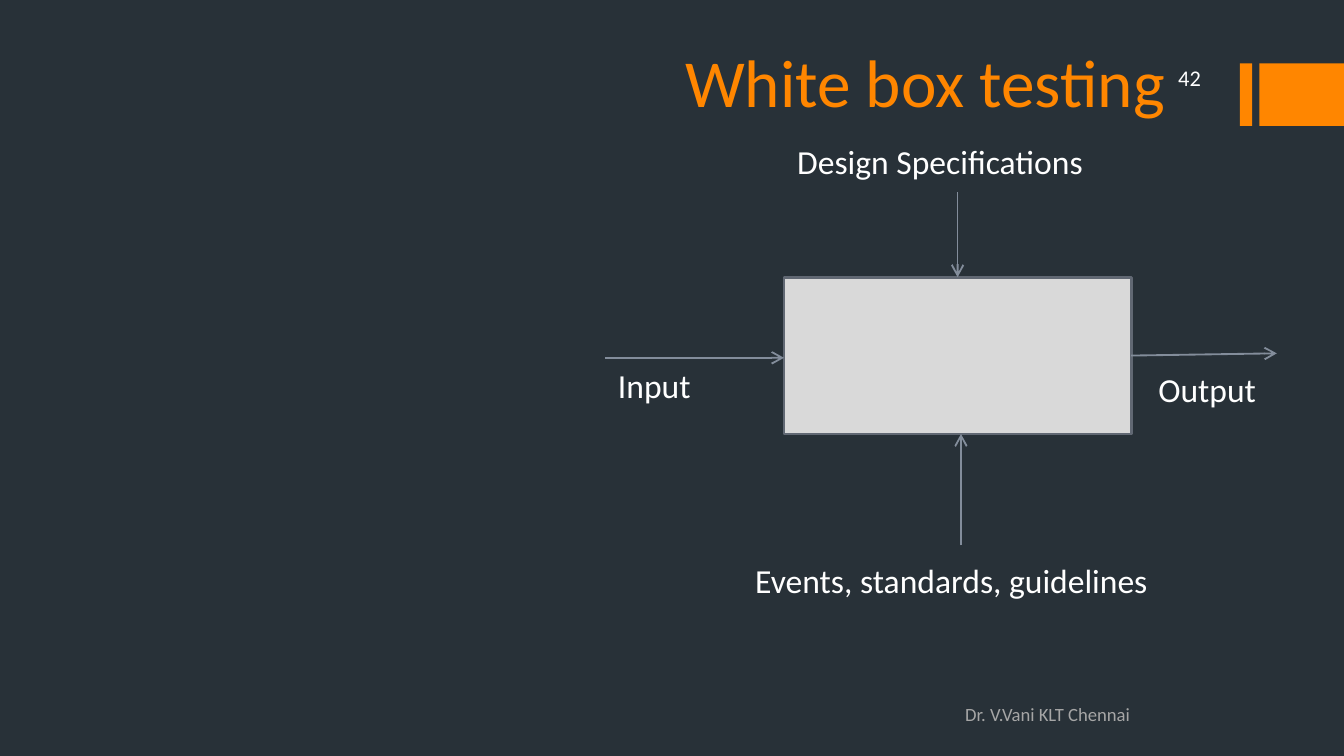
from dataclasses import dataclass

from lxml.etree import SubElement
from pptx import Presentation
from pptx.dml.color import RGBColor
from pptx.enum.shapes import MSO_CONNECTOR, MSO_SHAPE
from pptx.enum.text import MSO_ANCHOR, PP_ALIGN
from pptx.oxml.ns import qn
from pptx.util import Inches, Pt

COLUMNS, ROWS = 120, 67.5
SLIDE_WIDTH, SLIDE_HEIGHT = Inches(10), Inches(5.625)
TOP, RIGHT = 0, 3


@dataclass(frozen=True)
class Theme:
    font: str = "Calibri"
    background: str = "283138"
    accent: str = "FF8600"
    text: str = "FFFFFF"
    muted: str = "A6A6A6"
    box_fill: str = "D9D9D9"
    box_line: str = "616873"
    arrow: str = "838D9B"
    title_size: float = 36
    label_size: float = 18
    number_size: float = 12
    footer_size: float = 10
    box_line_width: float = 1.5
    arrow_width: float = 1


THEME = Theme()


def color(value):
    return RGBColor.from_string(value)


def grid(*lengths):
    """Turn alternating column and row counts into slide lengths."""
    units = (SLIDE_WIDTH / COLUMNS, SLIDE_HEIGHT / ROWS)
    return [round(length * units[i % 2]) for i, length in enumerate(lengths)]


def add_block(slide, area, fill, line=None):
    block = slide.shapes.add_shape(MSO_SHAPE.RECTANGLE, *grid(*area))
    block.shadow.inherit = False
    block.fill.solid()
    block.fill.fore_color.rgb = color(fill)
    if line:
        block.line.color.rgb = color(line)
        block.line.width = Pt(THEME.box_line_width)
    else:
        block.line.fill.background()
    return block


def add_text(slide, area, words, size=THEME.label_size, ink=THEME.text,
             anchor=MSO_ANCHOR.TOP, align=PP_ALIGN.LEFT):
    box = slide.shapes.add_textbox(*grid(*area))
    frame = box.text_frame
    frame.word_wrap = True
    frame.vertical_anchor = anchor
    frame.text = words
    paragraph = frame.paragraphs[0]
    paragraph.alignment = align
    font = paragraph.runs[0].font
    font.name, font.size = THEME.font, Pt(size)
    font.color.rgb = color(ink)
    return box


def add_arrow(slide, start, end):
    arrow = slide.shapes.add_connector(
        MSO_CONNECTOR.STRAIGHT, *grid(*start, *end))
    arrow.line.color.rgb = color(THEME.arrow)
    arrow.line.width = Pt(THEME.arrow_width)
    SubElement(arrow.line._get_or_add_ln(), qn("a:tailEnd"), type="arrow")
    SubElement(arrow._element.spPr, qn("a:effectLst"))
    return arrow


def add_header(slide):
    for left, width in ((110.7, 1.1), (112.45, 7.55)):
        add_block(slide, (left, 5.65, width, 5.6), THEME.accent)
    add_text(slide, (60, 3.6, 60, 7.8), "White box testing",
             THEME.title_size, THEME.accent, MSO_ANCHOR.BOTTOM)
    add_text(slide, (96, 5.4, 12.4, 3), "42", THEME.number_size,
             anchor=MSO_ANCHOR.MIDDLE, align=PP_ALIGN.RIGHT)


def add_diagram(slide):
    system = add_block(slide, (70, 24.75, 31, 14),
                       THEME.box_fill, THEME.box_line)
    design = add_arrow(slide, (85.5, 17.15), (85.5, 24.75))
    design.end_connect(system, TOP)
    add_arrow(slide, (54, 31.95), (70, 31.95))
    output = add_arrow(slide, (101, 31.75), (114, 31.55))
    output.begin_connect(system, RIGHT)
    add_arrow(slide, (85.8, 48.7), (85.8, 38.75))

    for left, top, width, words in (
        (54, 31.95, 13, "Input"),
        (66.25, 49.4, 39, "Events, standards, guidelines"),
        (102.25, 32.35, 13, "Output"),
        (70, 12, 29.4, "Design Specifications"),
    ):
        add_text(slide, (left, top, width, 4.8), words)


def add_footer(slide):
    footer = add_text(slide, (85, 62.75, 29.5, 3), "Dr. V.Vani KLT Chennai",
                      THEME.footer_size, THEME.muted)
    footer.text_frame.margin_top = 0


def main():
    deck = Presentation()
    deck.slide_width, deck.slide_height = SLIDE_WIDTH, SLIDE_HEIGHT
    slide = deck.slides.add_slide(deck.slide_layouts[6])
    slide.background.fill.solid()
    slide.background.fill.fore_color.rgb = color(THEME.background)
    add_header(slide)
    add_diagram(slide)
    add_footer(slide)
    deck.save("out.pptx")


if __name__ == "__main__":
    main()
